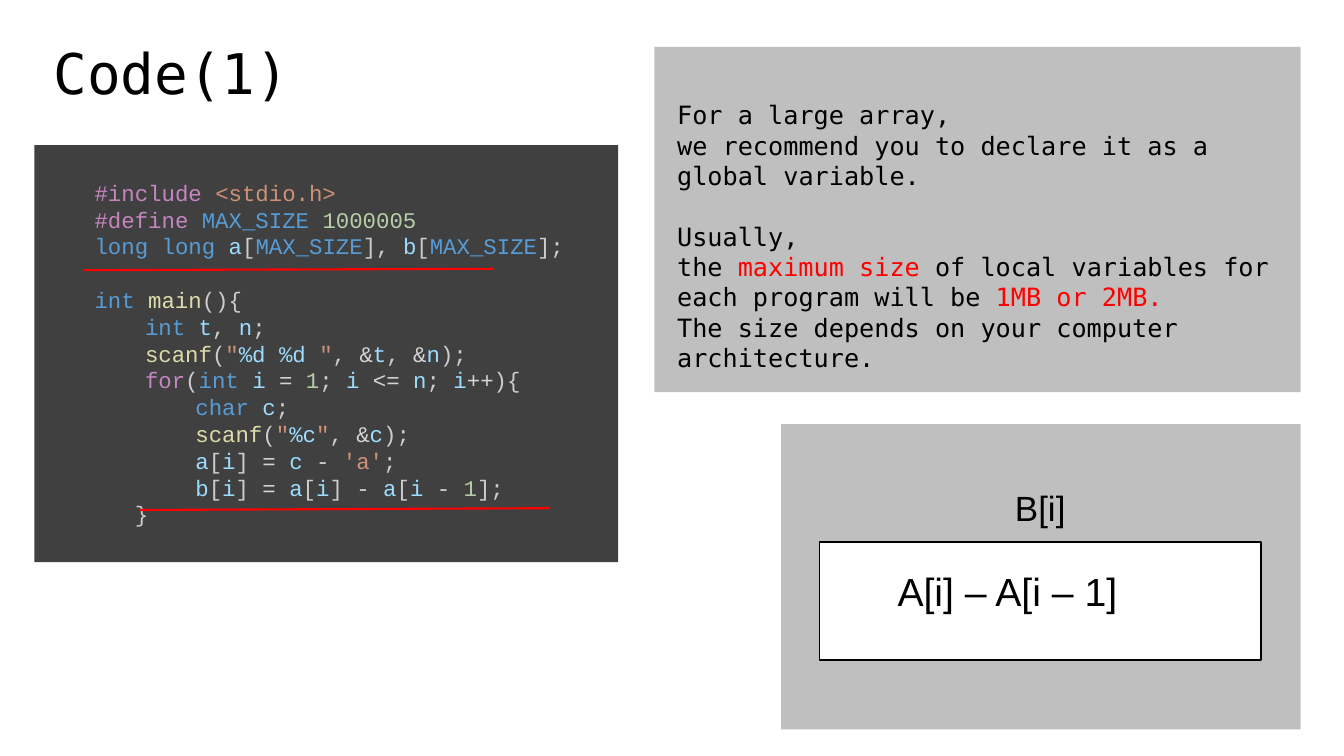
from lxml import etree
from pptx import Presentation
from pptx.dml.color import RGBColor
from pptx.enum.shapes import MSO_CONNECTOR, MSO_SHAPE
from pptx.enum.text import MSO_ANCHOR, MSO_AUTO_SIZE, PP_ALIGN
from pptx.oxml.ns import qn
from pptx.util import Pt

LEFT, CENTER = PP_ALIGN.LEFT, PP_ALIGN.CENTER
TOP, MIDDLE = MSO_ANCHOR.TOP, MSO_ANCHOR.MIDDLE
NO_AUTOSIZE = MSO_AUTO_SIZE.NONE
RECTANGLE, STRAIGHT = MSO_SHAPE.RECTANGLE, MSO_CONNECTOR.STRAIGHT
TITLE_ONLY = 5

MONO, CODE, SANS = "DejaVu Sans Mono", "Courier New", "Arial"
BLACK, WHITE, RED = "000000", "FFFFFF", "FF0000"
PANEL, EDITOR, PUNCTUATION = "BFBFBF", "404040", "CCCCCC"
NOTE_PITCH, CODE_PITCH = 21.65, 19.15

TOKENS_BY_COLOR = {
    "C586C0": "#include|#define|for",
    "569CD6": "MAX_SIZE|long long|int|char",
    "9CDCFE": "a|b|c|i|n|t|%d %d|%c",
    "DCDCAA": "main|scanf",
    "CE9178": "<stdio.h>|\"|'a'",
    "B5CEA8": "1000005|1",
    "D4D4D4": "&|=|<=|-|++",
}
TOKEN_COLORS = {
    token: color
    for color, tokens in TOKENS_BY_COLOR.items()
    for token in tokens.split("|")
}

# Indent level, blank lines above, tokens
CODE_LINES = [
    (1, 0, "#include |<stdio.h>"),
    (1, 0, "#define| MAX_SIZE |1000005"),
    (1, 0, "long long |a|[|MAX_SIZE|], |b|[|MAX_SIZE|];"),
    (1, 1, "int |main|(){"),
    (2, 0, "int |t|, |n|;"),
    (2, 0, "scanf|(|\"|%d %d| \"|, |&|t|, |&|n|);"),
    (2, 0, "for|(|int |i |= |1|; |i |<= |n|; |i|++|){"),
    (3, 0, "char |c|;"),
    (3, 0, "scanf|(|\"|%c|\"|, |&|c|);"),
    (3, 0, "a|[|i|] |= |c |- |'a'|;"),
    (3, 0, "b|[|i|] |= |a|[|i|] |- |a|[|i |- |1|];"),
    (1, 0, "   }"),
]

# Blank lines above, runs
NOTE_LINES = [
    (0, [("For a large array,", BLACK)]),
    (0, [("we recommend you to declare it as a global variable.", BLACK)]),
    (1, [("Usually,", BLACK)]),
    (0, [("the ", BLACK), ("maximum size ", RED),
         ("of local variables for each program will be ", BLACK),
         ("1MB or 2MB.", RED)]),
    (0, [("The size depends on your computer architecture.", BLACK)]),
]


def rgb(value):
    return RGBColor.from_string(value)


def set_attributes(target, values):
    for name, value in values.items():
        setattr(target, name, value)


class SlideBuilder:
    def __init__(self, slide):
        self.slide = slide

    def rectangle(self, left, top, width, height, fill, line=None):
        shape = self.slide.shapes.add_shape(
            RECTANGLE, Pt(left), Pt(top), Pt(width), Pt(height))
        shape.shadow.inherit = False
        shape.fill.solid()
        shape.fill.fore_color.rgb = rgb(fill)
        if line:
            shape.line.color.rgb = rgb(line)
            shape.line.width = Pt(1)
        else:
            shape.line.fill.background()
        return shape

    def text_box(self, left, top, width, height):
        return self.slide.shapes.add_textbox(
            Pt(left), Pt(top), Pt(width), Pt(height))

    def fill_text(self, shape, lines, font, size, align=LEFT, spacing=None,
                  anchor=TOP, inset_top=3.6):
        """Fill a shape with lines of (left margin, space before, runs)."""
        frame = shape.text_frame
        set_attributes(frame, {
            "word_wrap": True, "auto_size": NO_AUTOSIZE,
            "vertical_anchor": anchor, "margin_top": Pt(inset_top),
        })
        for number, (margin, space, runs) in enumerate(lines):
            paragraph = frame.add_paragraph() if number else frame.paragraphs[0]
            set_attributes(paragraph, {
                "alignment": align, "line_spacing": spacing,
                "space_before": Pt(space),
            })
            if margin:
                paragraph._p.get_or_add_pPr().set("marL", str(Pt(margin)))
            for text, color in runs:
                run = paragraph.add_run()
                run.text = text
                set_attributes(run.font, {"name": font, "size": Pt(size)})
                run.font.color.rgb = rgb(color)

    def label(self, text, box, size):
        self.fill_text(self.text_box(*box), [(0, 0, [(text, BLACK)])],
                       SANS, size, CENTER)

    def title(self, text, left, top, width, height):
        shape = self.slide.shapes.title
        set_attributes(shape, {
            "left": Pt(left), "top": Pt(top),
            "width": Pt(width), "height": Pt(height),
        })
        self.fill_text(shape, [(0, 0, [(text, BLACK)])], MONO, 40,
                       spacing=0.9, anchor=MIDDLE)

    def underline(self, x1, y1, x2, y2):
        connector = self.slide.shapes.add_connector(
            STRAIGHT, Pt(x1), Pt(y1), Pt(x2), Pt(y2))
        connector.line.color.rgb = rgb(RED)
        connector.line.width = Pt(1.5)
        etree.SubElement(connector._element.spPr, qn("a:effectLst"))


def code_runs(tokens):
    return [(token, TOKEN_COLORS.get(token.strip(), PUNCTUATION))
            for token in tokens.split("|")]


def main():
    presentation = Presentation()
    presentation.slide_width, presentation.slide_height = Pt(960), Pt(540)
    layout = presentation.slide_layouts[TITLE_ONLY]
    builder = SlideBuilder(presentation.slides.add_slide(layout))

    builder.title("Code(1)", 31, 2, 929, 104.4)

    builder.rectangle(558, 303, 371, 218, PANEL)
    builder.rectangle(585.4, 387.2, 315.4, 84.3, WHITE, BLACK)
    builder.label("B[i]", (637, 344, 212, 37.5), 25)
    builder.label("A[i] – A[i – 1]", (561.6, 401.8, 316, 41), 28)

    builder.rectangle(467.4, 33.6, 461.6, 246.6, PANEL)
    note_lines = [(0, blanks * NOTE_PITCH, runs) for blanks, runs in NOTE_LINES]
    builder.fill_text(builder.text_box(476.6, 67.7, 442, 202), note_lines,
                      MONO, 18, spacing=Pt(NOTE_PITCH))

    editor = builder.rectangle(24.5, 103.6, 417, 298, EDITOR)
    code_lines = [(level * 36, blanks * CODE_PITCH, code_runs(tokens))
                  for level, blanks, tokens in CODE_LINES]
    builder.fill_text(editor, code_lines, CODE, 16, spacing=Pt(CODE_PITCH),
                      inset_top=24.3)

    builder.underline(59.8, 193, 352.8, 192)
    builder.underline(99.4, 364.3, 393, 363)

    presentation.save("out.pptx")


if __name__ == "__main__":
    main()
